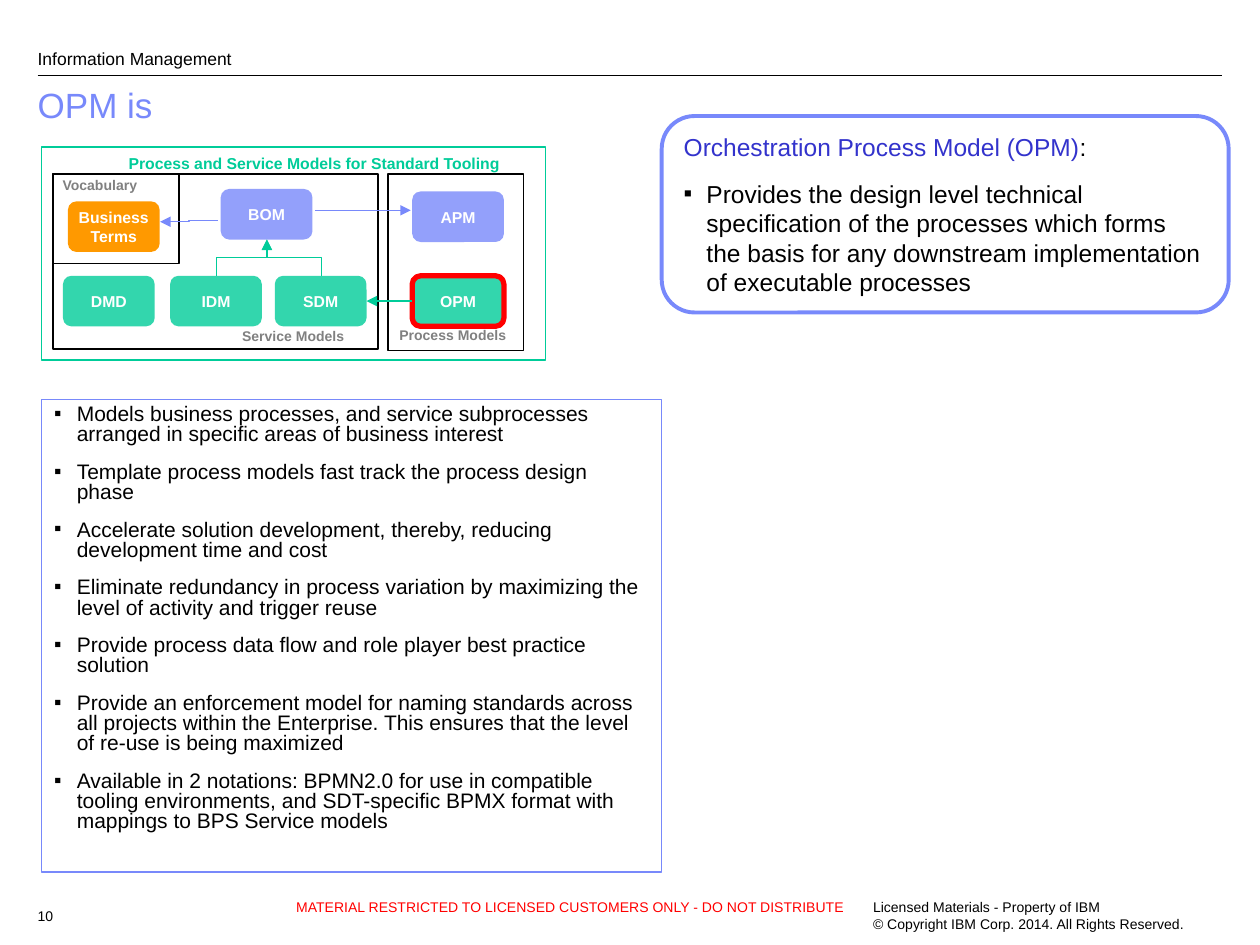
from typing import NamedTuple

import pptx
import pptx.dml.color
import pptx.enum.shapes
import pptx.enum.text
import pptx.oxml
import pptx.oxml.ns
import pptx.util
from lxml import etree
from pptx.util import Cm, Pt

RGB = pptx.dml.color.RGBColor
BLACK = RGB(0, 0, 0)
WHITE = RGB(0xFF, 0xFF, 0xFF)
BLUE = RGB(0x78, 0x89, 0xFB)
NAVY = RGB(0x33, 0x33, 0xCC)
GREEN = RGB(0x00, 0xCC, 0x99)
ORANGE = RGB(0xFF, 0x99, 0x00)
GRAY = RGB(0x80, 0x80, 0x80)
RED = RGB(0xFF, 0, 0)

KIND = pptx.enum.shapes.MSO_SHAPE
LINK = pptx.enum.shapes.MSO_CONNECTOR
ALIGN = pptx.enum.text.PP_ALIGN
ANCHOR = pptx.enum.text.MSO_ANCHOR
qn = pptx.oxml.ns.qn

NODE_W, NODE_H = 1.85, 1.02
LOW_ROW = 5.56
RIGHT_COL = 8.31


class Box(NamedTuple):
    x: float
    y: float
    w: float
    h: float


class Frame(NamedTuple):
    box: Box
    color: RGB
    width: float


class Node(NamedTuple):
    text: str
    x: float
    y: float
    fill: RGB
    alpha: int = 80
    line: RGB | None = None


class Label(NamedTuple):
    text: str
    box: Box
    size: float
    color: RGB = BLACK
    bold: bool = False
    align: ALIGN = ALIGN.LEFT
    inset: float = 0.25
    anchor: ANCHOR = ANCHOR.TOP
    pad: float = 0.13
    gap: float = 1.0


class Wire(NamedTuple):
    x1: float
    y1: float
    x2: float
    y2: float
    color: RGB
    kind: LINK = LINK.STRAIGHT
    arrow: bool = True


FRAMES = [
    Frame(Box(0.84, 2.97, 10.16, 4.29), GREEN, 1),
    Frame(Box(1.07, 3.51, 6.55, 3.53), BLACK, 0.75),
    Frame(Box(7.82, 3.51, 2.74, 3.56), BLACK, 0.75),
    Frame(Box(1.07, 3.51, 2.54, 1.8), BLACK, 0.75),
]
NODES = [
    Node("BOM", 4.45, 3.81, BLUE),
    Node("APM", RIGHT_COL, 3.86, BLUE),
    Node("DMD", 1.27, LOW_ROW, GREEN),
    Node("IDM", 3.43, LOW_ROW, GREEN),
    Node("SDM", 5.54, LOW_ROW, GREEN),
    Node("OPM", RIGHT_COL, LOW_ROW, GREEN, line=RED),
    Node("Business\nTerms", 1.37, 4.06, ORANGE, alpha=100),
]
LABELS = [
    Label("Information Management", Box(0.51, 0.38, 21.59, 1.02), 10,
          anchor=ANCHOR.BOTTOM, pad=0),
    Label("OPM is", Box(0.51, 1.65, 24.1, 1.75), 20, BLUE, gap=0.9),
    Label("Process and Service Models for Standard Tooling",
          Box(1.02, 2.97, 10.62, 0.64), 9, GREEN, True, ALIGN.CENTER),
    Label("Vocabulary", Box(1.02, 3.43, 2.24, 0.61), 8, GRAY, True, ALIGN.CENTER, 0),
    Label("Service Models", Box(4.88, 6.48, 2.34, 0.61), 8, GRAY, True, inset=0),
    Label("Process Models", Box(8.05, 6.45, 2.46, 0.61), 8, GRAY, True, inset=0),
    Label("MATERIAL RESTRICTED TO LICENSED CUSTOMERS ONLY - DO NOT DISTRIBUTE",
          Box(5.72, 17.98, 17.27, 0.89), 8, RED),
    Label("Licensed Materials - Property of IBM\n"
          "© Copyright IBM Corp. 2014. All Rights Reserved.",
          Box(17.35, 17.98, 7.95, 0.89), 8),
    Label("10", Box(0.51, 18.16, 1.02, 0.58), 8),
]
WIRES = [
    Wire(0.76, 1.52, 24.64, 1.52, BLACK, arrow=False),
    Wire(6.35, 4.24, 8.28, 4.24, BLUE),
    Wire(4.39, 4.45, 3.23, 4.47, BLUE, LINK.ELBOW),
]
POINTS = [
    "Models business processes, and service subprocesses arranged in specific areas of "
    "business interest",
    "Template process models fast track the process design phase",
    "Accelerate solution development, thereby, reducing development time and cost",
    "Eliminate redundancy in process variation by maximizing the level of activity and "
    "trigger reuse",
    "Provide process data flow and role player best practice solution",
    "Provide an enforcement model for naming standards across all projects within the "
    "Enterprise. This ensures that the level of re-use is being maximized",
    "Available in 2 notations: BPMN2.0 for use in compatible tooling environments, and "
    "SDT-specific BPMX format with mappings to BPS Service models",
]
HEAD = "Orchestration Process Model (OPM)"
ROLE = ("Provides the design level technical specification of the processes which forms "
        "the basis for any downstream implementation of executable processes")


def style(font, size: float, color: RGB, bold: bool = False) -> None:
    font.name, font.size, font.bold = "Arial", Pt(size), bold
    font.color.rgb = color


def add_shape(slide, kind: KIND, box: Box, line: RGB | None, width: float = 0.75):
    """Add an unfilled shape, outlined when a line colour is given."""
    shape = slide.shapes.add_shape(kind, *map(Cm, box))
    shape.shadow.inherit = False
    shape.fill.background()
    if line is None:
        shape.line.fill.background()
    else:
        shape.line.color.rgb = line
        shape.line.width = Pt(width)
    return shape


def add_node(slide, node: Node):
    box = Box(node.x, node.y, NODE_W, NODE_H)
    shape = add_shape(slide, KIND.ROUNDED_RECTANGLE, box, node.line, 3)
    shape.fill.solid()
    shape.fill.fore_color.rgb = node.fill
    if node.alpha < 100:
        tint = shape.fill._xPr.find(".//" + qn("a:srgbClr"))
        etree.SubElement(tint, qn("a:alpha"), val=str(node.alpha * 1000))
    frame = shape.text_frame
    frame.word_wrap = False
    frame.vertical_anchor = ANCHOR.MIDDLE
    frame.text = node.text
    for para in frame.paragraphs:
        para.alignment = ALIGN.CENTER
        style(para.runs[0].font, 9, WHITE, True)
    return shape


def add_label(slide, label: Label) -> None:
    frame = slide.shapes.add_textbox(*map(Cm, label.box)).text_frame
    frame.word_wrap = True
    frame.vertical_anchor = label.anchor
    frame.margin_left = Cm(label.inset)
    frame.margin_top = frame.margin_bottom = Cm(label.pad)
    frame.text = label.text
    for para in frame.paragraphs:
        para.alignment = label.align
        para.line_spacing = label.gap
        style(para.runs[0].font, label.size, label.color, label.bold)


def add_wire(slide, wire: Wire):
    ends = map(Cm, (wire.x1, wire.y1, wire.x2, wire.y2))
    link = slide.shapes.add_connector(wire.kind, *ends)
    link.line.color.rgb = wire.color
    link.line.width = Pt(0.75)
    if wire.arrow:
        etree.SubElement(link.line._get_or_add_ln(), qn("a:tailEnd"), type="triangle")
    etree.SubElement(link._element.spPr, qn("a:effectLst"))
    return link


def add_riser(slide, x1: float, y1: float, x2: float, y2: float) -> None:
    """Draw an elbow that leaves upwards: a level elbow turned by 270 degrees."""
    mid_x, mid_y = (x1 + x2) / 2, (y1 + y2) / 2
    half_w, half_h = (y1 - y2) / 2, (x2 - x1) / 2
    link = add_wire(slide, Wire(mid_x - half_w, mid_y - half_h,
                                mid_x + half_w, mid_y + half_h, GREEN, LINK.ELBOW))
    link._element.spPr.find(qn("a:xfrm")).set("rot", str(270 * 60000))


def add_bullet(para, size: float) -> None:
    props = para._p.get_or_add_pPr()
    props.set("marL", str(Cm(0.46)))
    props.set("indent", str(-Cm(0.46)))
    tint = etree.SubElement(props, qn("a:buClr"))
    etree.SubElement(tint, qn("a:srgbClr"), val=str(BLACK))
    etree.SubElement(props, qn("a:buFont"), typeface="Arial")
    etree.SubElement(props, qn("a:buChar"), char="▪")
    para.alignment = ALIGN.LEFT
    style(para.runs[0].font, size, BLACK)


def add_points(slide) -> None:
    shape = add_shape(slide, KIND.RECTANGLE, Box(0.84, 8.05, 12.5, 9.53), BLUE)
    frame = shape.text_frame
    frame.vertical_anchor = ANCHOR.TOP
    frame.text = "\n".join(POINTS)
    for rank, para in enumerate(frame.paragraphs):
        add_bullet(para, 12)
        para.line_spacing = 0.8
        para.space_before = Pt(10 if rank else 0)


def add_role(slide) -> None:
    box = Box(13.34, 2.34, 11.43, 3.96)
    frame = add_shape(slide, KIND.ROUNDED_RECTANGLE, box, BLUE, 2.25).text_frame
    frame.vertical_anchor = ANCHOR.TOP
    frame.text = f"{HEAD}\n{ROLE}"
    head, role = frame.paragraphs
    head.alignment = ALIGN.LEFT
    style(head.runs[0].font, 14, NAVY)
    colon = head.add_run()
    colon.text = ":"
    style(colon.font, 14, BLACK)
    add_bullet(role, 14)
    role.space_before = Pt(10)


def main() -> None:
    deck = pptx.Presentation()
    deck.slide_width, deck.slide_height = Cm(25.4), Cm(19.05)
    slide = deck.slides.add_slide(deck.slide_layouts[6])
    for box, color, width in FRAMES:
        add_shape(slide, KIND.RECTANGLE, box, color, width)
    nodes = {node.text: add_node(slide, node) for node in NODES}
    for wire in WIRES:
        add_wire(slide, wire)
    for start in (4.37, 6.48):
        add_riser(slide, start, LOW_ROW, 5.38, 4.83)
    mid = LOW_ROW + NODE_H / 2
    link = add_wire(slide, Wire(RIGHT_COL, mid, 5.54 + NODE_W, mid, GREEN))
    link.begin_connect(nodes["OPM"], 1)
    link.end_connect(nodes["SDM"], 3)
    for label in LABELS:
        add_label(slide, label)
    add_points(slide)
    add_role(slide)
    deck.save("out.pptx")


if __name__ == "__main__":
    main()
